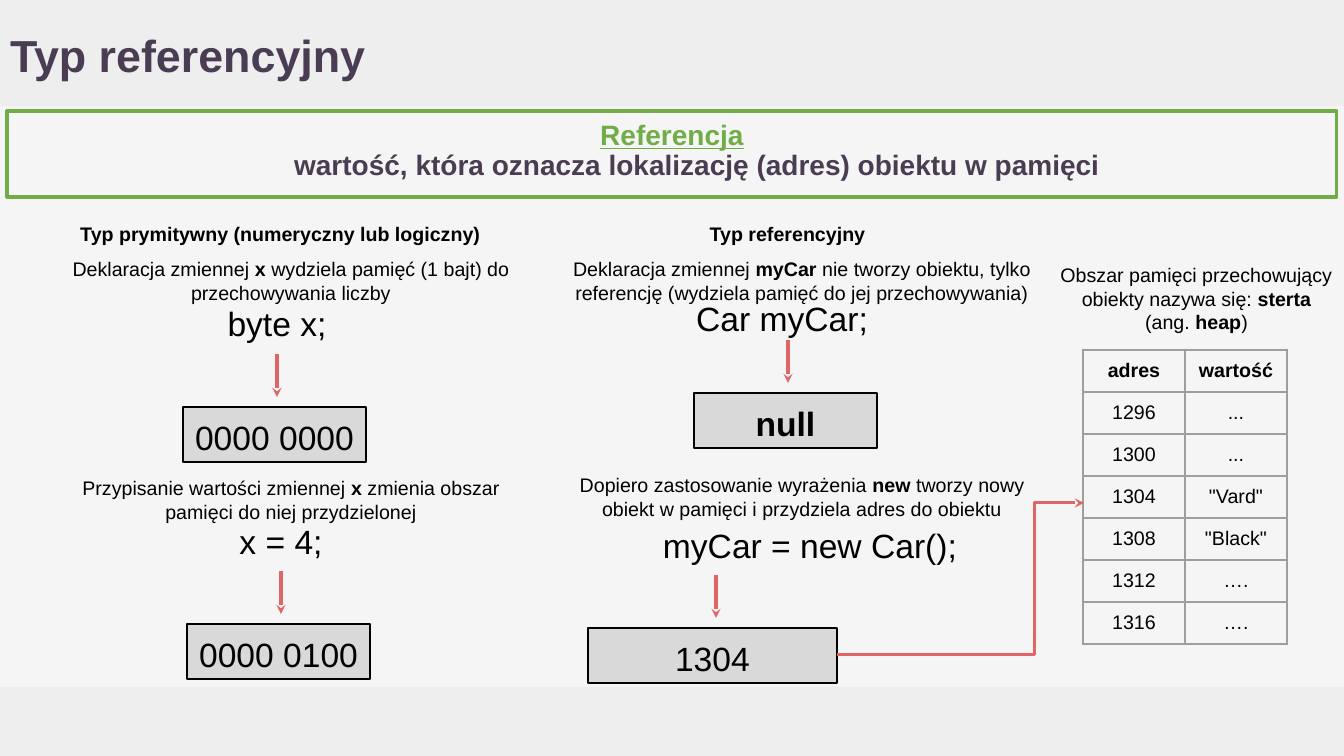
import pptx
import pptx.dml.color
import pptx.enum.shapes
import pptx.enum.text
import pptx.oxml
import pptx.oxml.ns
import pptx.util

SHAPE = pptx.enum.shapes.MSO_SHAPE
CONNECTOR = pptx.enum.shapes.MSO_CONNECTOR
ALIGN = pptx.enum.text.PP_ALIGN
ANCHOR = pptx.enum.text.MSO_ANCHOR


def px(count):
    """Turn whole pixels into EMU."""
    return pptx.util.Emu(round(count * 914400 / 100.8))


def color(value):
    """Turn a hex string into a colour."""
    return pptx.dml.color.RGBColor.from_string(value)


def xml(source):
    """Build a drawing element."""
    head, rest = source.split(" ", 1)
    return pptx.oxml.parse_xml(f"{head} {pptx.oxml.ns.nsdecls('a')} {rest}")


class Board:
    """Holds the style and the current slide."""

    FONT = "Arial"
    INK = "000000"
    PLUM = "4A3D53"
    GREEN = "70AD47"
    RED = "E06666"
    GRID = "9E9E9E"
    PAPER = "F5F5F5"
    BAND = "EEEEEE"
    MEMORY = "D9D9D9"
    INSET = 10

    def __init__(self, page):
        """Set the slide background."""
        self.page = page
        page.background.fill.solid()
        page.background.fill.fore_color.rgb = color(self.PAPER)

    def frame(self, holder, anchor=ANCHOR.TOP):
        """Prepare a text frame with wrapping and even margins."""
        frame = holder.text_frame
        frame.word_wrap = True
        frame.auto_size = pptx.enum.text.MSO_AUTO_SIZE.NONE
        frame.vertical_anchor = anchor
        frame.margin_left = frame.margin_right = px(self.INSET)
        frame.margin_top = frame.margin_bottom = px(self.INSET)
        return frame

    def fill_para(self, para, text, size, bold=False, ink=INK, align=ALIGN.CENTER):
        """Fill a paragraph with text in which asterisks enclose bold words."""
        para.alignment = align
        para.font.name = self.FONT
        para.font.size = pptx.util.Pt(size)
        para.font.color.rgb = color(ink)
        para.font.bold = bold
        for index, part in enumerate(text.split("*")):
            span = para.add_run()
            span.text = part
            if index % 2:
                span.font.bold = True

    def title(self, text, left, top, width, height):
        """Place and format the title above the other shapes."""
        title = self.page.shapes.title
        title.left, title.top, title.width, title.height = map(px, (left, top, width, height))
        para = self.frame(title, ANCHOR.MIDDLE).paragraphs[0]
        para.line_spacing = 0.9
        self.fill_para(para, text, 32, True, self.PLUM, ALIGN.LEFT)
        title.element.getparent().append(title.element)

    def rect(self, left, top, width, height, fill=None, line=None, weight=1.5):
        """Draw a rectangle."""
        box = self.page.shapes.add_shape(SHAPE.RECTANGLE, *map(px, (left, top, width, height)))
        box.shadow.inherit = False
        if fill:
            box.fill.solid()
            box.fill.fore_color.rgb = color(fill)
        else:
            box.fill.background()
        if line:
            box.line.color.rgb = color(line)
            box.line.width = pptx.util.Pt(weight)
        else:
            box.line.fill.background()
        return box

    def text(self, text, left, top, width, height, size=14, bold=False):
        """Add a centred text box."""
        box = self.page.shapes.add_textbox(*map(px, (left, top, width, height)))
        self.fill_para(self.frame(box).paragraphs[0], text, size, bold)

    def definition(self, term, meaning, left, top, width, height):
        """Draw the framed definition."""
        box = self.rect(left, top, width, height, line=self.GREEN, weight=2.25)
        frame = self.frame(box)
        first, second = frame.paragraphs[0], frame.add_paragraph()
        first.line_spacing = second.line_spacing = 0.9
        second._p.get_or_add_pPr().set("marL", "457200")
        self.fill_para(first, term, 20, True, self.GREEN)
        first.font.underline = True
        self.fill_para(second, meaning, 20, True, self.PLUM)

    def arrow(self, start, end, kind=CONNECTOR.STRAIGHT, bend=None):
        """Draw an arrow, with an optional bend in thousandths of a percent."""
        arrow = self.page.shapes.add_connector(kind, *map(px, start + end))
        arrow.line.color.rgb = color(self.RED)
        arrow.line.width = pptx.util.Pt(2.25)
        arrow.line._get_or_add_ln().append(xml('<a:tailEnd type="stealth"/>'))
        properties = arrow._element.spPr
        properties.append(xml("<a:effectLst />"))
        if bend:
            geometry = properties.find(pptx.oxml.ns.qn("a:prstGeom"))
            guides = geometry.get_or_add_avLst()
            guides.append(xml(f'<a:gd name="adj1" fmla="val {bend}"/>'))

    def memory(self, code, code_box, arrow_left, value, left, top, width, bold=False):
        """Draw a statement, its arrow and the memory cell it fills."""
        self.text(code, *code_box, 103, size=24)
        self.arrow((arrow_left, top - 53), (arrow_left, top - 10))
        box = self.rect(left, top, width, 55, self.MEMORY, self.INK)
        self.fill_para(self.frame(box).paragraphs[0], value, 24, bold)

    def table(self, rows, left, top, column, row_height):
        """Draw a bordered table with a bold first row."""
        columns = len(rows[0])
        table = self.page.shapes.add_table(
            len(rows), columns, px(left), px(top),
            px(column * columns), px(row_height * len(rows))).table
        table.first_row = table.horz_banding = False
        for row, values in enumerate(rows):
            table.rows[row].height = px(row_height)
            for index, value in enumerate(values):
                cell = table.cell(row, index)
                cell.margin_left = cell.margin_right = px(self.INSET)
                cell.margin_top = cell.margin_bottom = px(self.INSET)
                self.fill_para(cell.text_frame.paragraphs[0], value, 14, row == 0)
                for side in ("lnL", "lnR", "lnT", "lnB"):
                    cell._tc.get_or_add_tcPr().append(xml(
                        f'<a:{side} w="28575"><a:solidFill><a:srgbClr val="{self.GRID}"/>'
                        f"</a:solidFill></a:{side}>"))
                cell.fill.background()


def main():
    """Build the slide and save it."""
    deck = pptx.Presentation()
    deck.slide_width, deck.slide_height = px(1344), px(756)
    board = Board(deck.slides.add_slide(deck.slide_layouts[5]))

    board.rect(0, 687, 1344, 69, board.BAND)
    board.rect(0, 0, 1344, 106, board.BAND)
    board.title("Typ referencyjny", 0, 5, 1202, 106)
    board.definition("Referencja", "wartość, która oznacza lokalizację (adres) obiektu w pamięci",
                     7, 111, 1330, 86)

    board.text("Typ prymitywny (numeryczny lub logiczny)", 36, 212, 489, 45, bold=True)
    board.text("Typ referencyjny", 543, 212, 489, 45, bold=True)

    notes = (
        (44, 247, "Deklaracja zmiennej *x* wydziela pamięć (1 bajt) do przechowywania liczby"),
        (44, 466, "Przypisanie wartości zmiennej *x* zmienia obszar pamięci do niej przydzielonej"),
        (555, 247, "Deklaracja zmiennej *myCar* nie tworzy obiektu, tylko referencję "
                   "(wydziela pamięć do jej przechowywania)"),
        (555, 463, "Dopiero zastosowanie wyrażenia *new* tworzy nowy obiekt w pamięci "
                   "i przydziela adres do obiektu"),
    )
    for left, top, note in notes:
        board.text(note, left, top, 494, 67)
    board.text("Obszar pamięci przechowujący obiekty nazywa się: *sterta* (ang. *heap*)",
               1049, 253, 295, 77)

    board.memory("byte x;", (183, 293, 188), 277, "0000 0000", 183, 407, 183)
    board.memory("x = 4;", (187, 511, 188), 281, "0000 0100", 187, 624, 183)
    board.memory("Car myCar;", (669, 288, 226), 788, "null", 694, 393, 183, bold=True)
    board.memory("myCar = new Car();", (608, 515, 404), 716, "1304", 588, 628, 249)

    board.table((("adres", "wartość"), ("1296", "..."), ("1300", "..."), ("1304", '"Vard"'),
                 ("1308", '"Black"'), ("1312", "…."), ("1316", "….")), 1083, 350, 102, 42)
    board.arrow((837, 655), (1084, 503), CONNECTOR.ELBOW, 80000)
    deck.save("out.pptx")


if __name__ == "__main__":
    main()
